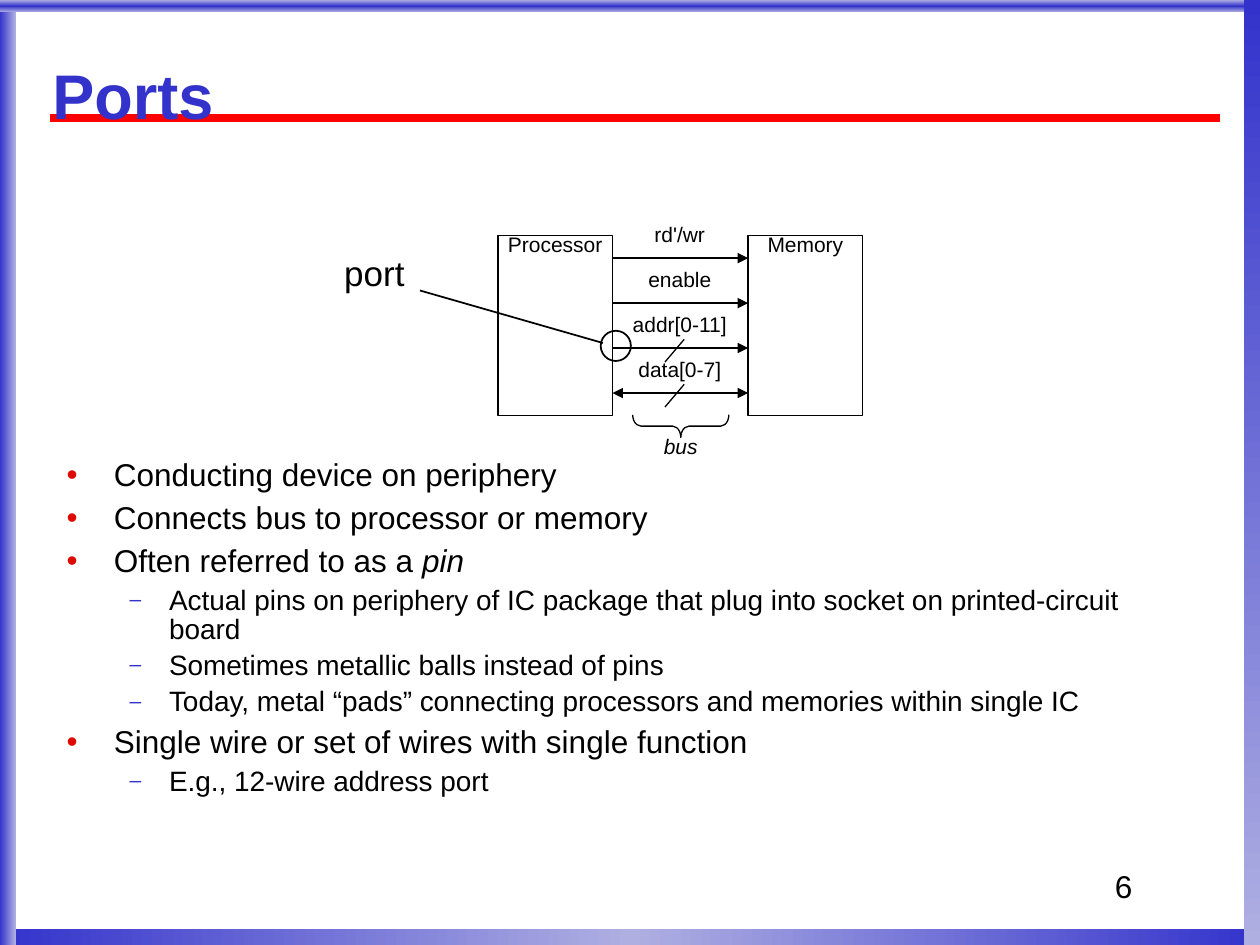
import pptx
import pptx.util
import pptx.dml.color
import pptx.enum.shapes
import pptx.enum.text
import pptx.oxml
import pptx.oxml.ns

Pt = pptx.util.Pt
SHAPE = pptx.enum.shapes.MSO_SHAPE
ALIGN = pptx.enum.text.PP_ALIGN
ANCHOR = pptx.enum.text.MSO_ANCHOR
NS = pptx.oxml.ns.nsdecls("a")
FONT = "Arial"
COLORS = {"blue": "3333CC", "pale": "AFAFE2", "red": "FF0000", "bullet": "DC0A00",
          "black": "000000", "white": "FFFFFF", "shadow": "B2B2B2"}

# Content
TITLE = "Ports"
PAGE = "6"
POINTS = [  # level, runs of (text, italic)
    (0, [("Conducting device on periphery", False)]),
    (0, [("Connects bus to processor or memory", False)]),
    (0, [("Often referred to as a ", False), ("pin", True)]),
    (1, [("Actual pins on periphery of IC package that plug into socket "
          "on printed-circuit board", False)]),
    (1, [("Sometimes metallic balls instead of pins", False)]),
    (1, [("Today, metal “pads” connecting processors and memories within single IC", False)]),
    (0, [("Single wire or set of wires with single function", False)]),
    (1, [("E.g., 12-wire address port", False)]),
]
LEVELS = [  # left and hanging indents, spacing and bullet of each level
    {"size": 18, "left": 27, "hang": 27, "spacing": 0.93, "before": 4.5,
     "char": "•", "color": "bullet", "percent": 100},
    {"size": 16, "left": 58.5, "hang": 22.5, "spacing": 0.87, "before": 4,
     "char": "–", "color": "blue", "percent": 75},
]
BORDERS = [  # left, top, width, height, gradient colours, angle
    (0, 531, 720, 9, ("blue", "pale", "blue"), 0),
    (0, 0, 9, 540, ("blue", "pale"), 0),
    (0, 0, 720, 7, ("pale", "blue", "pale"), 90),
    (711, 0, 9, 540, ("blue", "pale"), 90),
]
UNITS = [("Processor", 284.5), ("Memory", 427.5)]
WIRES = [  # label, is a bus, runs both ways
    ("rd'/wr", False, False),
    ("enable", False, False),
    ("addr[0-11]", True, False),
    ("data[0-7]", True, True),
]

# Diagram grid
UNIT_TOP, UNIT_W, UNIT_H = 134.5, 65.5, 103
WIRE_LEFT, WIRE_RIGHT = UNITS[0][1] + UNIT_W, UNITS[1][1]
WIRE_TOP, WIRE_STEP = 147.5, 25.7
LABEL_X, LABEL_W, LABEL_H = 388.5, 77, 26


def rgb(name):
    return pptx.dml.color.RGBColor.from_string(COLORS[name])


def add_run(paragraph, text, size, color="black", bold=False, italic=False):
    run = paragraph.add_run()
    run.text = text
    run.font.name, run.font.size = FONT, Pt(size)
    run.font.bold, run.font.italic = bold, italic
    run.font.color.rgb = rgb(color)
    return run


def set_frame(frame, inset_x=0, inset_y=0, anchor=ANCHOR.TOP):
    frame.word_wrap = True
    frame.margin_left = frame.margin_right = Pt(inset_x)
    frame.margin_top = frame.margin_bottom = Pt(inset_y)
    frame.vertical_anchor = anchor
    return frame.paragraphs[0]


def add_text(left, top, width, height):
    return slide.shapes.add_textbox(Pt(left), Pt(top), Pt(width), Pt(height)).text_frame


def write_label(frame, text, size=12, italic=False):
    paragraph = set_frame(frame)
    paragraph.alignment, paragraph.line_spacing = ALIGN.CENTER, 0.85
    add_run(paragraph, text, size, italic=italic)


def add_shape(kind, left, top, width, height, line=None, fill=None):
    shape = slide.shapes.add_shape(kind, Pt(left), Pt(top), Pt(width), Pt(height))
    shape.shadow.inherit = False
    if fill:
        shape.fill.solid()
        shape.fill.fore_color.rgb = rgb(fill)
    else:
        shape.fill.background()
    if line:
        shape.line.color.rgb, shape.line.width = rgb("black"), Pt(line)
    else:
        shape.line.fill.background()
    return shape


def add_line(x1, y1, x2, y2, width=0.75, color="black", arrows=()):
    line = slide.shapes.add_connector(pptx.enum.shapes.MSO_CONNECTOR.STRAIGHT,
                                      Pt(x1), Pt(y1), Pt(x2), Pt(y2))
    line.line.color.rgb, line.line.width = rgb(color), Pt(width)
    for end in arrows:
        line.line._ln.append(pptx.oxml.parse_xml(f'<a:{end} {NS} type="triangle"/>'))
    line._element.spPr.append(pptx.oxml.parse_xml(f"<a:effectLst {NS}/>"))


def set_gradient(shape, names, angle):
    stops = "".join(f'<a:gs pos="{100000 * i // (len(names) - 1)}">'
                    f'<a:srgbClr val="{COLORS[name]}"/></a:gs>'
                    for i, name in enumerate(names))
    gradient = pptx.oxml.parse_xml(f'<a:gradFill {NS}><a:gsLst>{stops}</a:gsLst>'
                                   f'<a:lin ang="{angle * 60000}" scaled="0"/></a:gradFill>')
    properties = shape._element.spPr
    properties.replace(properties.find(pptx.oxml.ns.qn("a:noFill")), gradient)


def set_bullet(paragraph, level):
    properties = paragraph._p.get_or_add_pPr()
    properties.set("marL", str(Pt(level["left"])))
    properties.set("indent", str(-Pt(level["hang"])))
    for xml in (f'<a:buClr {NS}><a:srgbClr val="{COLORS[level["color"]]}"/></a:buClr>',
                f'<a:buSzPct {NS} val="{level["percent"] * 1000}"/>',
                f'<a:buFont {NS} typeface="{FONT}"/>',
                f'<a:buChar {NS} char="{level["char"]}"/>'):
        properties.append(pptx.oxml.parse_xml(xml))


deck = pptx.Presentation()
deck.slide_width, deck.slide_height = Pt(720), Pt(540)
slide = deck.slides.add_slide(deck.slide_layouts[5])

# Border and title rule
for left, top, width, height, names, angle in BORDERS:
    set_gradient(add_shape(SHAPE.RECTANGLE, left, top, width, height), names, angle)
add_line(28.5, 67.5, 697, 67.5, 4.5, "red")

# Page number
add_run(set_frame(add_text(630, 492, 72, 36), 7.2, 3.6), PAGE, 18)

# Title, in front of the rule
title = slide.shapes.title
title.left, title.top, title.width, title.height = Pt(30), Pt(12), Pt(660), Pt(90)
heading = set_frame(title.text_frame, anchor=ANCHOR.MIDDLE)
heading.alignment, heading.line_spacing = ALIGN.LEFT, 0.87
heading_run = add_run(heading, TITLE, 36, "blue", bold=True)
heading_run.font.fill._xPr.find(pptx.oxml.ns.qn("a:solidFill")).addnext(pptx.oxml.parse_xml(
    f'<a:effectLst {NS}><a:outerShdw dist="25400" dir="2700000">'
    f'<a:srgbClr val="{COLORS["shadow"]}"/></a:outerShdw></a:effectLst>'))
slide.shapes._spTree.append(title._element)

# Bullet points
body = add_text(31, 258.5, 660, 222.5)
set_frame(body, 7.2, 3.6)
for i, (depth, runs) in enumerate(POINTS):
    point = body.add_paragraph() if i else body.paragraphs[0]
    level = LEVELS[depth]
    point.level = depth
    point.line_spacing, point.space_before = level["spacing"], Pt(level["before"])
    set_bullet(point, level)
    for text, italic in runs:
        add_run(point, text, level["size"], italic=italic)

# Processor and memory
for name, left in UNITS:
    unit = add_shape(SHAPE.RECTANGLE, left, UNIT_TOP, UNIT_W, UNIT_H, 0.75, "white")
    write_label(unit.text_frame, name)

# Wires with labels, and a slash across each bus
for i, (name, is_bus, both_ways) in enumerate(WIRES):
    y = WIRE_TOP + i * WIRE_STEP
    add_line(WIRE_LEFT, y, WIRE_RIGHT, y, 1.25 if is_bus else 0.75,
             arrows=("headEnd", "tailEnd") if both_ways else ("tailEnd",))
    write_label(add_text(LABEL_X - LABEL_W / 2, y - 18.5, LABEL_W, LABEL_H), name)
    if is_bus:
        add_line(391, y - 5, 380, y + 8)

# Bus brace
brace = add_shape(SHAPE.RIGHT_BRACE, 382.5, 216, 13, 55, 0.75)
brace.rotation = 90
brace.adjustments[0] = 0.36
write_label(add_text(361.5, 250, 55, LABEL_H), "bus", italic=True)

# Port callout
add_shape(SHAPE.OVAL, 343.25, 189, 17.25, 17.25, 1)
add_line(344.5, 196, 240, 166, 1)
write_label(add_text(186.5, 147.5, 55, 29), "port", 20)

deck.save("out.pptx")
